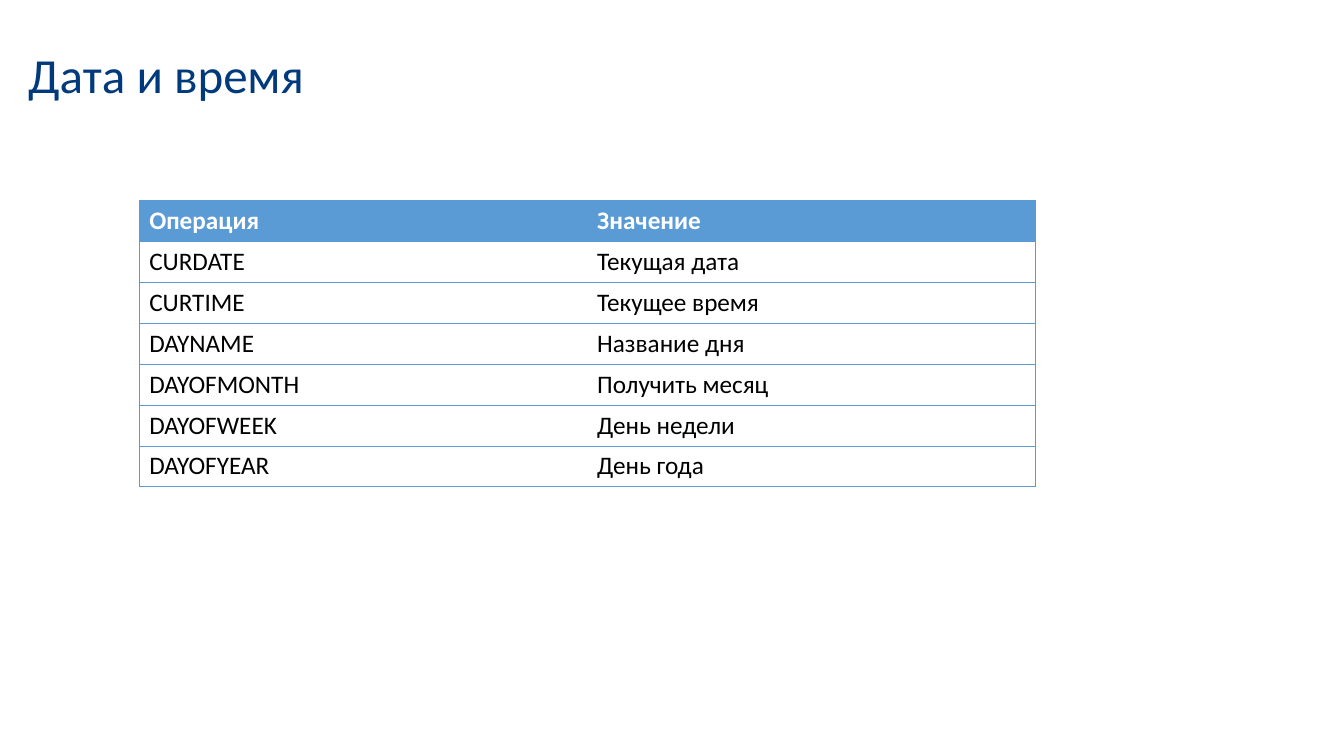
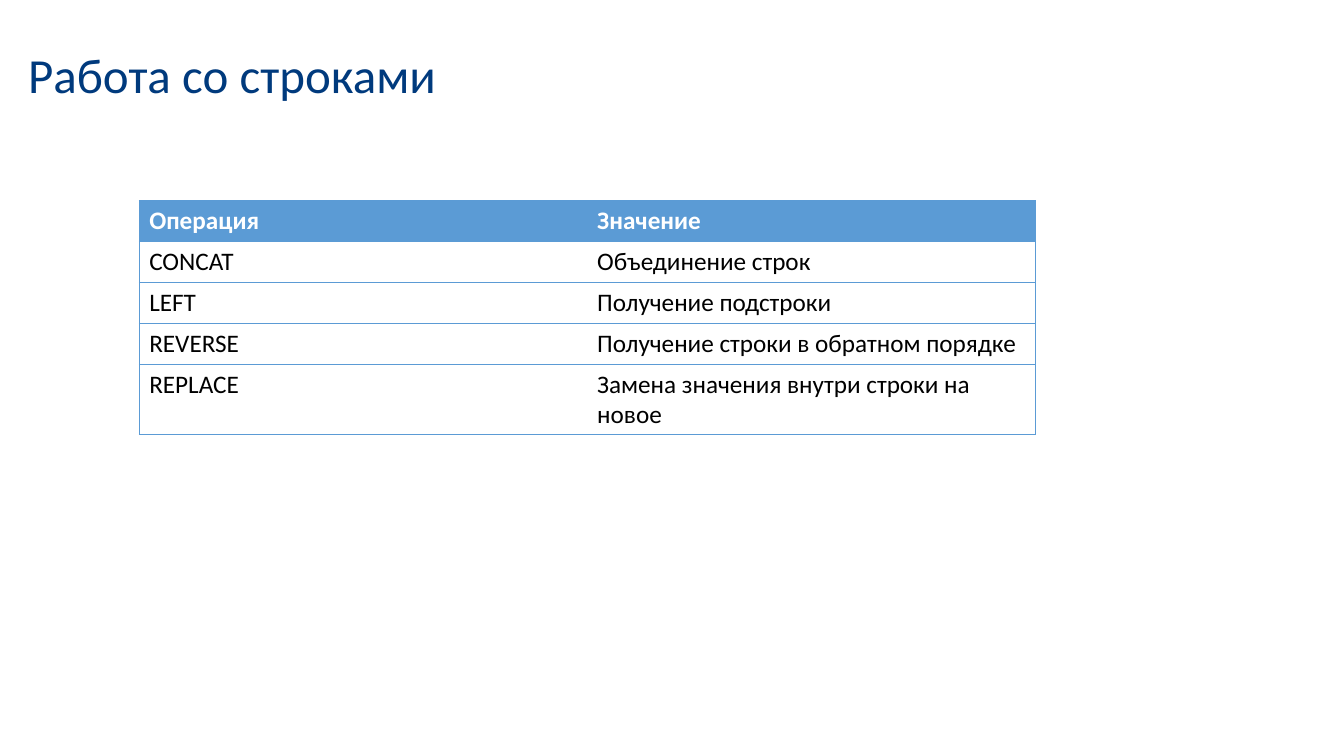
from lxml.etree import SubElement
from pptx import Presentation
from pptx.dml.color import RGBColor
from pptx.enum.text import MSO_AUTO_SIZE
from pptx.oxml.ns import qn
from pptx.util import Pt

HEADINGS = ("Операция", "Значение")
TOPICS = [
    {
        "title": "Дата и время",
        "title_width": 213,
        "functions": [
            ("CURDATE", "Текущая дата"),
            ("CURTIME", "Текущее время"),
            ("DAYNAME", "Название дня"),
            ("DAYOFMONTH", "Получить месяц"),
            ("DAYOFWEEK", "День недели"),
            ("DAYOFYEAR", "День года"),
        ],
    },
    {
        "title": "Работа со строками",
        "title_width": 308,
        "functions": [
            ("CONCAT", "Объединение строк"),
            ("LEFT", "Получение подстроки"),
            ("REVERSE", "Получение строки в обратном порядке"),
            ("REPLACE", "Замена значения внутри строки на новое"),
        ],
    },
]

COLORS = {"title": "003A7D", "accent": "5B9BD5", "paper": "FFFFFF", "text": "000000"}
FONT = "Calibri"
TITLE_LEFT, TITLE_TOP, TITLE_HEIGHT = 13, 28, 50
TABLE_LEFT, TABLE_TOP = 99.4, 143.3
COLUMN_WIDTH, ROW_HEIGHT = 320, 29.2
BORDER_WIDTH = 0.5


def style_text(paragraph, size, color, bold=False):
    """Set the font of a whole paragraph."""
    font = paragraph.font
    font.name, font.size, font.bold = FONT, Pt(size), bold
    font.color.rgb = RGBColor.from_string(COLORS[color])


def add_title(slide, title, width):
    """Add the slide title on one unwrapped line."""
    box = slide.shapes.add_textbox(
        Pt(TITLE_LEFT), Pt(TITLE_TOP), Pt(width), Pt(TITLE_HEIGHT))
    frame = box.text_frame
    frame.word_wrap = False
    frame.auto_size = MSO_AUTO_SIZE.SHAPE_TO_FIT_TEXT
    frame.text = title
    style_text(frame.paragraphs[0], 35, "title")


def set_borders(cell, visible_sides):
    """Rule the visible sides of a cell and clear the others."""
    properties = cell._tc.get_or_add_tcPr()
    for side in "LRTB":
        line = SubElement(properties, qn(f"a:ln{side}"), w=str(Pt(BORDER_WIDTH)))
        if side in visible_sides:
            fill = SubElement(line, qn("a:solidFill"))
            SubElement(fill, qn("a:srgbClr"), val=COLORS["accent"])
        else:
            SubElement(line, qn("a:noFill"))


def add_function_table(slide, functions):
    """Add the table of functions under its heading row."""
    rows = [HEADINGS, *functions]
    table = slide.shapes.add_table(
        len(rows), len(HEADINGS), Pt(TABLE_LEFT), Pt(TABLE_TOP),
        Pt(COLUMN_WIDTH * len(HEADINGS)), Pt(ROW_HEIGHT * len(rows))).table
    table.horz_banding = False
    for column in table.columns:
        column.width = Pt(COLUMN_WIDTH)
    for row_index, row in enumerate(rows):
        table.rows[row_index].height = Pt(ROW_HEIGHT)
        is_heading = row_index == 0
        for column_index, value in enumerate(row):
            cell = table.cell(row_index, column_index)
            cell.text = value
            style_text(cell.text_frame.paragraphs[0], 18,
                       "paper" if is_heading else "text", is_heading)
            set_borders(cell, "TB" + "LR"[column_index])
            cell.fill.solid()
            cell.fill.fore_color.rgb = RGBColor.from_string(
                COLORS["accent" if is_heading else "paper"])


deck = Presentation()
deck.slide_width, deck.slide_height = Pt(960), Pt(540)
for topic in TOPICS:
    slide = deck.slides.add_slide(deck.slide_layouts[6])
    add_title(slide, topic["title"], topic["title_width"])
    add_function_table(slide, topic["functions"])
deck.save("out.pptx")
